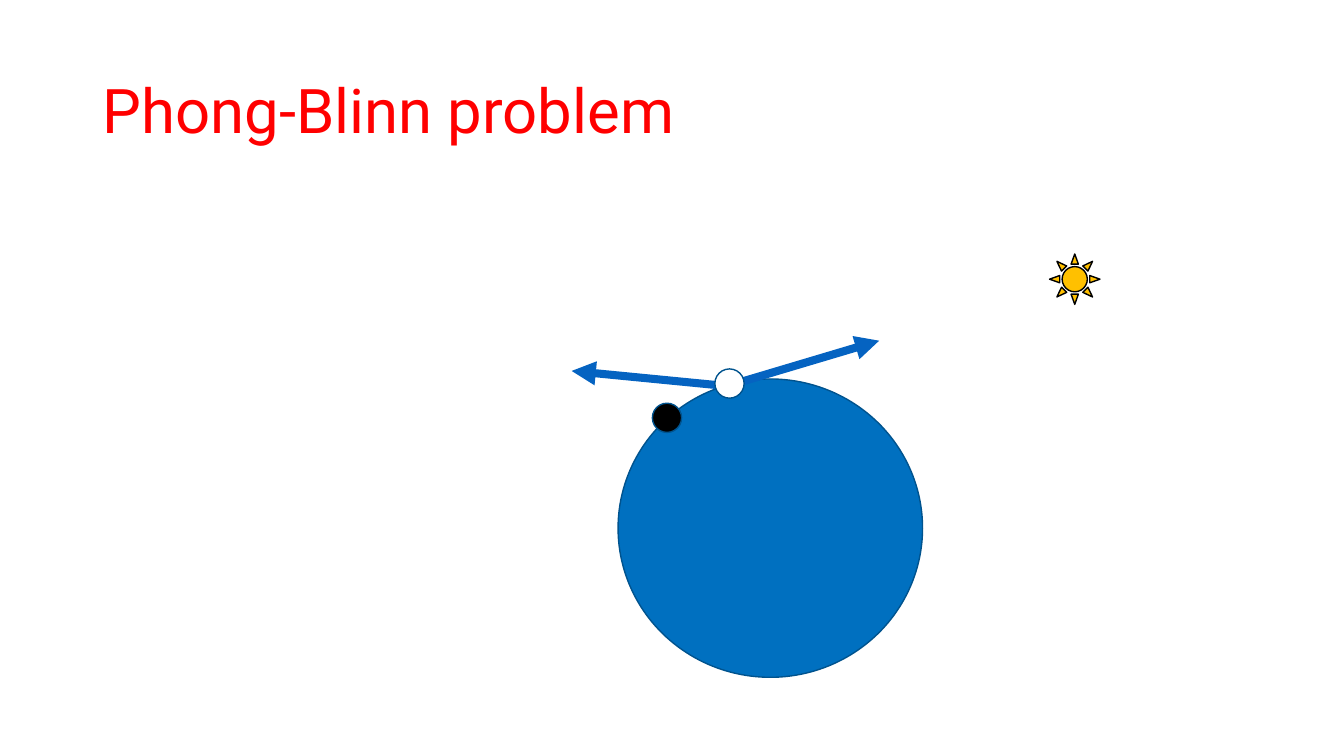
from dataclasses import dataclass

from lxml.etree import SubElement
from pptx import Presentation
from pptx.dml.color import RGBColor
from pptx.enum.shapes import MSO_CONNECTOR, MSO_SHAPE
from pptx.enum.text import MSO_ANCHOR, PP_ALIGN
from pptx.oxml.ns import qn
from pptx.util import Inches, Pt


@dataclass(frozen=True)
class Theme:
    font: str = "Roboto"
    title_size: float = 44
    title: str = "FF0000"
    sphere: str = "0070C0"
    outline: str = "00538E"
    ray: str = "0563C1"
    sun: str = "FFC000"
    black: str = "000000"
    white: str = "FFFFFF"
    outline_width: float = 1
    ray_width: float = 5.75


THEME = Theme()


def add_title(slide, box, wording):
    title = slide.shapes.title
    title.left, title.top, title.width, title.height = map(Inches, box)
    frame = title.text_frame
    frame.word_wrap = True
    frame.vertical_anchor = MSO_ANCHOR.MIDDLE
    paragraph = frame.paragraphs[0]
    paragraph.alignment = PP_ALIGN.LEFT
    paragraph.line_spacing = 0.9
    run = paragraph.add_run()
    run.text = wording
    run.font.name = THEME.font
    run.font.size = Pt(THEME.title_size)
    run.font.color.rgb = RGBColor.from_string(THEME.title)


def add_figure(slide, preset, box, fill, outline=THEME.outline):
    figure = slide.shapes.add_shape(preset, *map(Inches, box))
    figure.shadow.inherit = False
    figure.fill.solid()
    figure.fill.fore_color.rgb = RGBColor.from_string(fill)
    figure.line.color.rgb = RGBColor.from_string(outline)
    figure.line.width = Pt(THEME.outline_width)


def add_ray(slide, start, tip):
    """Draw a thick line with an arrowhead at its tip."""
    ray = slide.shapes.add_connector(
        MSO_CONNECTOR.STRAIGHT, *map(Inches, (*start, *tip)))
    ray.line.color.rgb = RGBColor.from_string(THEME.ray)
    ray.line.width = Pt(THEME.ray_width)
    properties = ray._element.spPr
    SubElement(properties.find(qn("a:ln")), qn("a:tailEnd"), type="triangle")
    SubElement(properties, qn("a:effectLst"))


def add_lit_sphere(slide, left, top):
    """Place the sun, the sphere, its two surface points and the rays."""
    def at(x, y):
        return left + x, top + y

    point_size = (0.29, 0.29)
    lit_point = at(1.54, 1.31)
    add_figure(slide, MSO_SHAPE.OVAL, (*at(0.46, 1.24), 3.02, 2.96), THEME.sphere)
    for tip in (at(3.05, 0.86), at(0, 1.16)):
        add_ray(slide, lit_point, tip)
    add_figure(slide, MSO_SHAPE.SUN, (*at(4.74, 0), 0.5, 0.5), THEME.sun, THEME.black)
    add_figure(slide, MSO_SHAPE.OVAL, (*at(0.8, 1.48), *point_size), THEME.black)
    add_figure(slide, MSO_SHAPE.OVAL, (*at(1.42, 1.14), *point_size), THEME.white)


def main():
    presentation = Presentation()
    presentation.slide_width = Inches(13.33)
    presentation.slide_height = Inches(7.5)
    slide = presentation.slides.add_slide(presentation.slide_layouts[5])
    add_title(slide, (0.92, 0.4, 11.5, 1.45), "Phong-Blinn problem")
    add_lit_sphere(slide, 5.67, 2.52)
    presentation.save("out.pptx")


if __name__ == "__main__":
    main()
